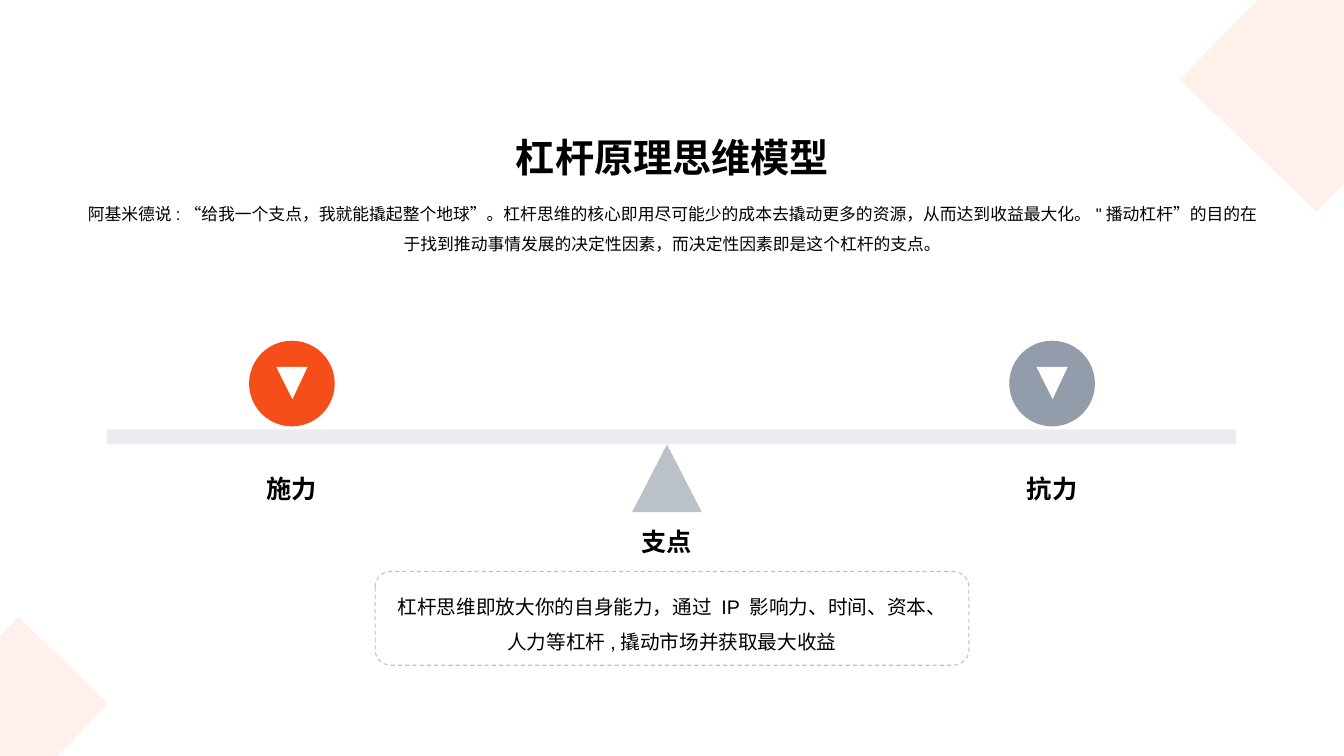
from lxml.etree import SubElement
from pptx import Presentation
from pptx.dml.color import RGBColor
from pptx.enum.dml import MSO_LINE
from pptx.enum.shapes import MSO_SHAPE
from pptx.enum.text import MSO_ANCHOR, PP_ALIGN
from pptx.oxml.ns import qn
from pptx.util import Inches, Pt

CELL = 0.1


def grid(*cells):
    return [Inches(cell * CELL) for cell in cells]


def assign(target, values):
    for name, value in values.items():
        setattr(target, name, value)


def paint(color, value):
    color.rgb = RGBColor.from_string(value)


def fade(shape, opacity):
    if opacity < 100:
        color = next(shape.element.spPr.iter(qn("a:srgbClr")))
        SubElement(color, qn("a:alpha"), val=str(opacity * 1000))


class Painter:
    ink = "000000"
    slate = "778495"
    orange = "F54E1A"
    blush = "FDDCD1"
    white = "FFFFFF"
    font = "Arial"

    def __init__(self, page):
        self.page = page

    def finish(self, shape, color, opacity):
        shape.shadow.inherit = False
        shape.line.fill.background()
        if color:
            shape.fill.solid()
            paint(shape.fill.fore_color, color)
            fade(shape, opacity)
        else:
            shape.fill.background()
        return shape

    def shape(self, kind, place, color=None, opacity=100):
        shape = self.page.shapes.add_shape(kind, *grid(*place))
        return self.finish(shape, color, opacity)

    def polygon(self, points, color, opacity=100):
        start, *others = [grid(*point) for point in points]
        builder = self.page.shapes.build_freeform(*start, scale=1.0)
        builder.add_line_segments(others, close=True)
        return self.finish(builder.convert_to_shape(), color, opacity)

    def fill_text(self, box, words, size, bold=False, anchor=MSO_ANCHOR.TOP, spacing=1.0):
        frame = box.text_frame
        assign(frame, {"word_wrap": True, "vertical_anchor": anchor})
        para = frame.paragraphs[0]
        assign(para, {"alignment": PP_ALIGN.CENTER, "line_spacing": spacing})
        span = para.add_run()
        span.text = words
        assign(span.font, {"name": self.font, "size": Pt(size), "bold": bold})
        paint(span.font.color, self.ink)

    def text(self, place, words, size, **style):
        box = self.page.shapes.add_textbox(*grid(*place))
        self.fill_text(box, words, size, **style)

    def label(self, place, words, size=18):
        self.text(place, words, size, bold=True, anchor=MSO_ANCHOR.BOTTOM)

    def force(self, center, words, color, opacity=100):
        ball = self.shape(MSO_SHAPE.ROUNDED_RECTANGLE,
                          (center - 4.25, 33.8, 8.5, 8.5), color, opacity)
        ball.adjustments[0] = 0.5
        self.polygon([(center - 1.55, 36.4), (center + 1.55, 36.4),
                      (center + 0.05, 39.6)], self.white)
        self.label((center - 6.95, 44.3, 13.9, 6.1), words)

    def note(self, place, words, size):
        box = self.shape(MSO_SHAPE.ROUNDED_RECTANGLE, place)
        paint(box.line.color, self.slate)
        assign(box.line, {"width": Pt(0.75), "dash_style": MSO_LINE.DASH})
        fade(box, 50)
        self.fill_text(box, words, size, anchor=MSO_ANCHOR.MIDDLE, spacing=1.5)


deck = Presentation()
assign(deck, {"slide_width": Inches(13.33), "slide_height": Inches(7.5)})
painter = Painter(deck.slides.add_slide(deck.slide_layouts[6]))

corners = [
    [(133.3, 0), (124.7, 0), (117, 7.9), (130.6, 21), (133.3, 18.2)],
    [(0, 75), (5.7, 75), (10.7, 69.8), (1.8, 61.2), (0, 63.1)],
]
for corner in corners:
    painter.polygon(corner, painter.blush, 40)

painter.label((7.3, 12.7, 118.8, 5.7), "杠杆原理思维模型", 28)
painter.text(
    (7.3, 18.7, 118.8, 6.7),
    "阿基米德说:“给我一个支点，我就能撬起整个地球”。杠杆思维的核心即用尽可能少的成本"
    "去撬动更多的资源，从而达到收益最大化。\"播动杠杆”的目的在于找到推动事情发展的"
    "决定性因素，而决定性因素即是这个杠杆的支点。",
    12, spacing=1.5)

painter.force(28.95, "施力", painter.orange)
painter.force(104.35, "抗力", painter.slate, 80)

painter.shape(MSO_SHAPE.ISOSCELES_TRIANGLE, (62.7, 44.1, 6.9, 6.7), painter.slate, 50)
painter.label((58.7, 50.8, 14.8, 4.9), "支点")
painter.shape(MSO_SHAPE.RECTANGLE, (10.6, 42.6, 112, 1.5), painter.slate, 15)
painter.note(
    (37.2, 56.7, 58.9, 9.3),
    "杠杆思维即放大你的自身能力，通过 IP 影响力、时间、资本、人力等杠杆,撬动市场并获取最大收益",
    14)

deck.save("out.pptx")
